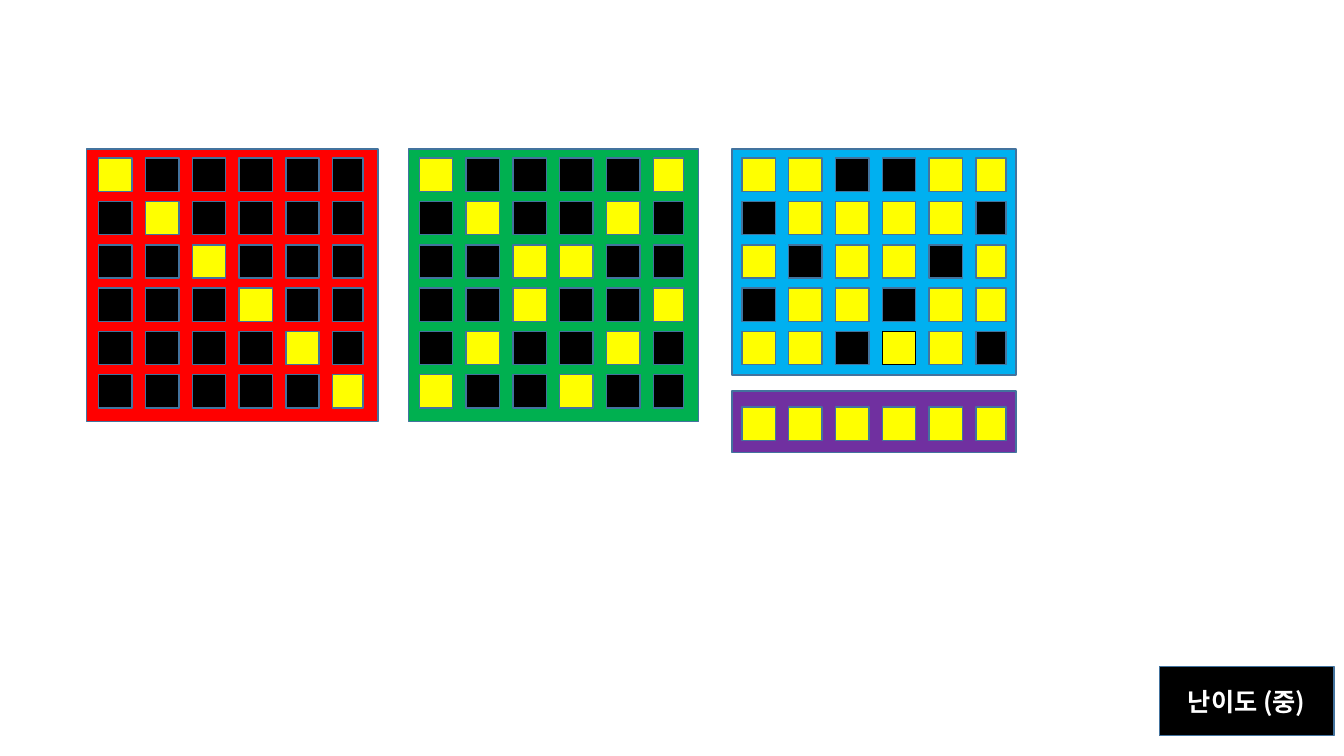
import pptx
import pptx.dml.color
import pptx.enum.shapes
import pptx.enum.text
import pptx.oxml
import pptx.oxml.ns
import pptx.util

RGBColor = pptx.dml.color.RGBColor
RED = RGBColor(0xFF, 0x00, 0x00)
GREEN = RGBColor(0x00, 0xB0, 0x50)
BLUE = RGBColor(0x00, 0xB0, 0xF0)
PURPLE = RGBColor(0x70, 0x30, 0xA0)
YELLOW = RGBColor(0xFF, 0xFF, 0x00)
BLACK = RGBColor(0x00, 0x00, 0x00)
WHITE = RGBColor(0xFF, 0xFF, 0xFF)
OUTLINE = RGBColor(0x43, 0x73, 0x9E)

FONT = "Noto Sans CJK KR"
SLIDE_WIDTH = pptx.util.Inches(13.33)
SLIDE_HEIGHT = pptx.util.Inches(7.5)

COLUMN_STEP, ROW_STEP = 3.48, 5.73
LAMP_WIDTH, LAST_LAMP_WIDTH, LAMP_HEIGHT = 2.48, 2.25, 4.4
LAMP_STYLES = {"Y": (YELLOW, OUTLINE), ".": (BLACK, OUTLINE), "O": (YELLOW, BLACK)}

DIAGONAL = ["Y.....", ".Y....", "..Y...", "...Y..", "....Y.", ".....Y"]
CROSSING = ["Y....Y", ".Y..Y.", "..YY..", "..Y..Y", ".Y..Y.", "Y..Y.."]
SCATTERED = ["YY..YY", ".YYYY.", "Y.YY.Y", ".YY.YY", "YY.OY."]
ALL_LIT = ["YYYYYY"]


def add_rectangle(slide, box, fill, line=OUTLINE):
    """Draw a rectangle whose box is in percent of the slide's size."""
    left, top, width, height = box
    shape = slide.shapes.add_shape(
        pptx.enum.shapes.MSO_SHAPE.RECTANGLE,
        round(SLIDE_WIDTH * left / 100), round(SLIDE_HEIGHT * top / 100),
        round(SLIDE_WIDTH * width / 100), round(SLIDE_HEIGHT * height / 100))
    shape.shadow.inherit = False
    shape.fill.solid()
    shape.fill.fore_color.rgb = fill
    shape.line.color.rgb = line
    shape.line.width = pptx.util.Pt(1)
    return shape


def write_text(shape, text, *, size, color, bold=False):
    """Write one centred line of text in a shape."""
    frame = shape.text_frame
    frame.word_wrap = True
    frame.vertical_anchor = pptx.enum.text.MSO_ANCHOR.MIDDLE
    paragraph = frame.paragraphs[0]
    paragraph.alignment = pptx.enum.text.PP_ALIGN.CENTER
    run = paragraph.add_run()
    run.text = text
    run.font.size = pptx.util.Pt(size)
    run.font.bold = bold
    run.font.color.rgb = color
    run.font.name = FONT
    east_asian = pptx.oxml.parse_xml(
        f'<a:ea {pptx.oxml.ns.nsdecls("a")} typeface="{FONT}"/>')
    run.font.fill
    run.font._element.append(east_asian)


def add_lamp_panel(slide, box, color, pattern, inset):
    """Draw a coloured panel with its lamps, inset from the panel's corner."""
    add_rectangle(slide, box, color)
    left, top = box[0] + inset[0], box[1] + inset[1]
    for row, lamps in enumerate(pattern):
        for column, lamp in enumerate(lamps):
            is_last = column == len(lamps) - 1
            width = LAST_LAMP_WIDTH if is_last else LAMP_WIDTH
            lamp_box = (left + column * COLUMN_STEP, top + row * ROW_STEP,
                        width, LAMP_HEIGHT)
            add_rectangle(slide, lamp_box, *LAMP_STYLES[lamp])


def add_difficulty_label(slide, box):
    """Draw the difficulty label."""
    label = add_rectangle(slide, box, BLACK)
    write_text(label, "난이도 (중)", size=18, color=WHITE, bold=True)


def build_lamp_slide(presentation):
    """Add the slide with four lamp panels and the difficulty label."""
    slide = presentation.slides.add_slide(presentation.slide_layouts[6])
    add_lamp_panel(slide, (54.46, 51.73, 21.15, 8.13), PURPLE, ALL_LIT, (0.75, 2.13))
    add_lamp_panel(slide, (54.46, 19.73, 21.15, 29.87), BLUE, SCATTERED, (0.75, 1.2))
    add_lamp_panel(slide, (30.38, 19.73, 21.6, 36), GREEN, CROSSING, (0.83, 1.2))
    add_lamp_panel(slide, (6.45, 19.73, 21.68, 36), RED, DIAGONAL, (0.9, 1.2))
    add_difficulty_label(slide, (86.27, 88.13, 12.98, 9.2))


def main():
    """Build and save the presentation."""
    presentation = pptx.Presentation()
    presentation.slide_width = SLIDE_WIDTH
    presentation.slide_height = SLIDE_HEIGHT
    build_lamp_slide(presentation)
    presentation.save("out.pptx")


main()
